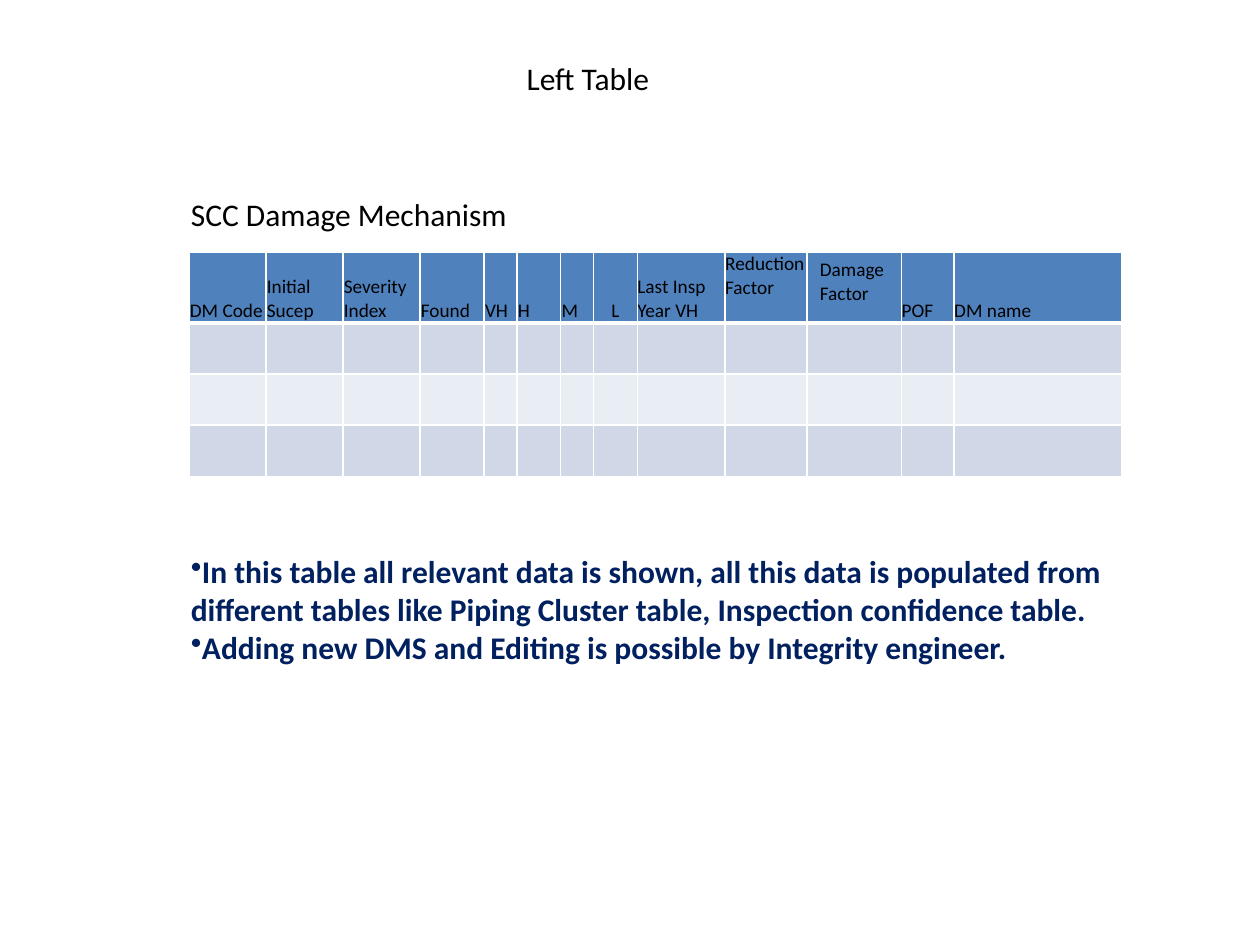
from lxml.etree import SubElement
from pptx import Presentation
from pptx.dml.color import RGBColor as Color
from pptx.enum.text import MSO_ANCHOR as Anchor, MSO_AUTO_SIZE as AutoSize, PP_ALIGN as Align
from pptx.oxml.ns import qn
from pptx.util import Pt

THEME = {
    "font": "Calibri",
    "text": "000000",
    "note": "002060",
    "header": "4F81BD",
    "bands": ("D0D8E8", "E9EDF4"),
    "border": "FFFFFF",
    "header_size": 11,
    "text_size": 18,
}

TIGHT = {"margin_left": 0.5, "margin_top": 0.5, "margin_right": 0.5, "margin_bottom": 0}
FLUSH = dict.fromkeys(TIGHT, 0)
RAISED = {**FLUSH, "margin_bottom": 13.4}

COLUMNS = [
    ("DM Code", 44, TIGHT),
    ("Initial Sucep", 44, TIGHT),
    ("Severity Index", 44, TIGHT),
    ("Found", 36.7, TIGHT),
    ("VH", 18.8, TIGHT),
    ("H", 25, TIGHT),
    ("M", 18.8, TIGHT),
    ("L", 25, TIGHT),
    ("Last Insp Year VH", 50.2, FLUSH),
    ("Reduction Factor", 46.9, RAISED),
    ("Damage Factor", 54, None),
    ("POF", 30, FLUSH),
    ("DM name", 95.6, FLUSH),
]
CENTERED = "L"
ROW_HEIGHTS = [40.3, 29.2, 29.2, 29.2]
TABLE_AT = (108, 144)

LABELS = [
    ("Left Table", (293.8, 30, 85.7, 29)),
    ("SCC Damage Mechanism", (102, 108, 197, 29)),
]
NOTES = [
    "In this table all relevant data is shown, all this data is populated from "
    "different tables like Piping Cluster table, Inspection confidence table.",
    "Adding new DMS and Editing is possible by Integrity engineer.",
]
NOTES_AT = (102, 312, 570, 72.7)


def apply(target, values):
    for name, value in values.items():
        setattr(target, name, value)


def write(para, text, size, color, bold=False):
    span = para.add_run()
    span.text = text
    apply(span.font, {"name": THEME["font"], "size": Pt(size), "bold": bold})
    span.font.color.rgb = Color.from_string(color)


def add_box(page, place, texts, color, notes=False):
    box = page.shapes.add_textbox(*map(Pt, place))
    frame = box.text_frame
    apply(frame, {"word_wrap": notes, "auto_size": AutoSize.SHAPE_TO_FIT_TEXT})
    for index, text in enumerate(texts):
        para = frame.add_paragraph() if index else frame.paragraphs[0]
        write(para, text, THEME["text_size"], color, notes)
        if notes:
            SubElement(para._p.get_or_add_pPr(), qn("a:buChar"), char="•")


def add_borders(cell, row):
    widths = {"L": 1, "R": 1, "T": 3 if row == 1 else 1, "B": 3 if row == 0 else 1}
    for side, width in widths.items():
        line = SubElement(cell._tc.get_or_add_tcPr(), qn(f"a:ln{side}"), w=str(Pt(width)))
        fill = SubElement(line, qn("a:solidFill"))
        SubElement(fill, qn("a:srgbClr"), val=THEME["border"])


def add_mechanism_table(page):
    size = (sum(width for _, width, _ in COLUMNS), sum(ROW_HEIGHTS))
    table = page.shapes.add_table(
        len(ROW_HEIGHTS), len(COLUMNS), *map(Pt, TABLE_AT + size)
    ).table
    for row, height in enumerate(ROW_HEIGHTS):
        table.rows[row].height = Pt(height)
        color = THEME["bands"][(row - 1) % 2] if row else THEME["header"]
        for cell in table.rows[row].cells:
            add_borders(cell, row)
            cell.fill.solid()
            cell.fill.fore_color.rgb = Color.from_string(color)
    for index, (title, width, margins) in enumerate(COLUMNS):
        table.columns[index].width = Pt(width)
        cell = table.cell(0, index)
        if margins:
            apply(cell, {name: Pt(value) for name, value in margins.items()})
            cell.vertical_anchor = Anchor.BOTTOM
        para = cell.text_frame.paragraphs[0]
        para.alignment = Align.CENTER if title == CENTERED else Align.LEFT
        write(para, title, THEME["header_size"], THEME["text"])


def main():
    deck = Presentation()
    apply(deck, {"slide_width": Pt(720), "slide_height": Pt(540)})
    page = deck.slides.add_slide(deck.slide_layouts[6])
    add_mechanism_table(page)
    for text, place in LABELS:
        add_box(page, place, [text], THEME["text"])
    add_box(page, NOTES_AT, NOTES, THEME["note"], notes=True)
    deck.save("out.pptx")


if __name__ == "__main__":
    main()
